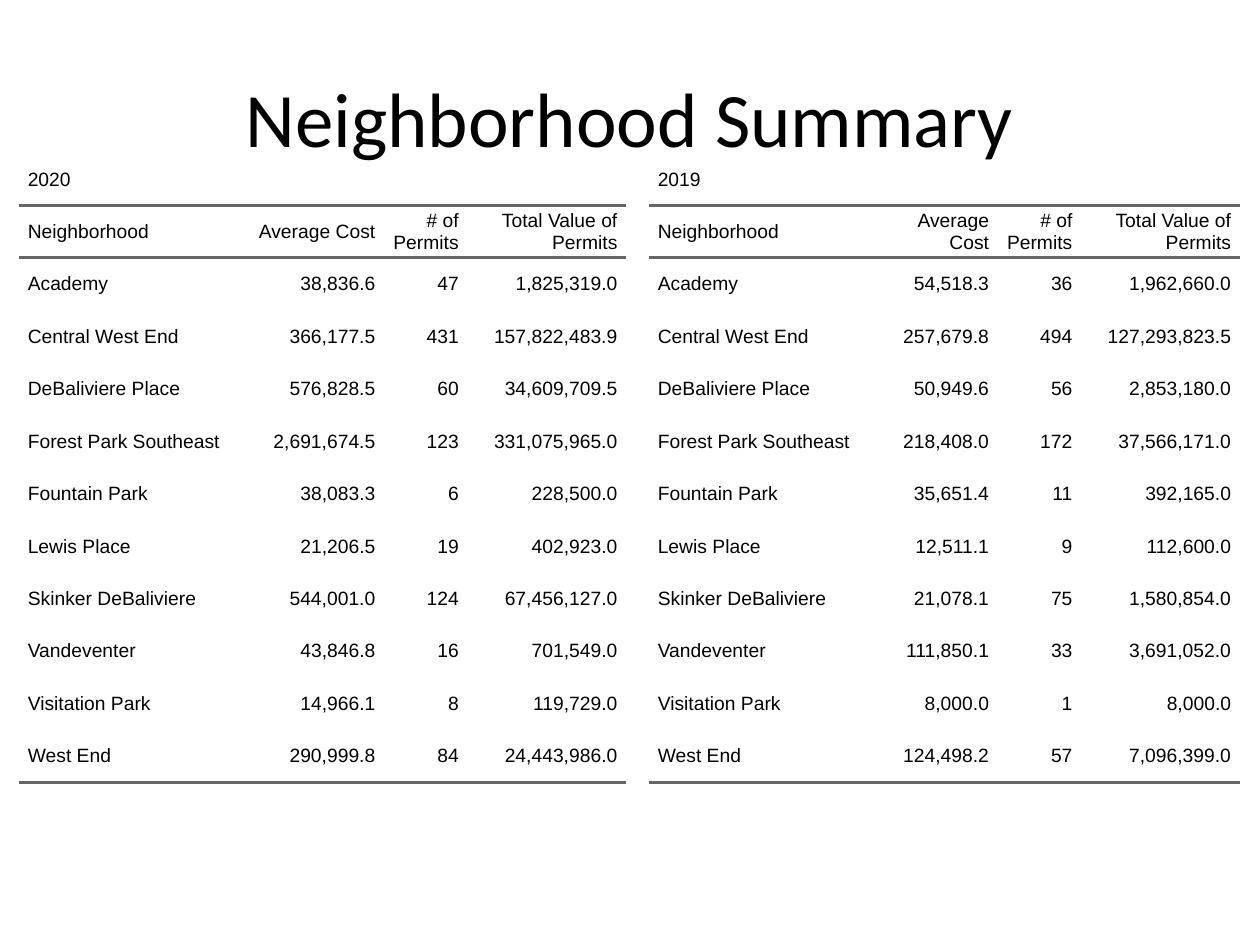
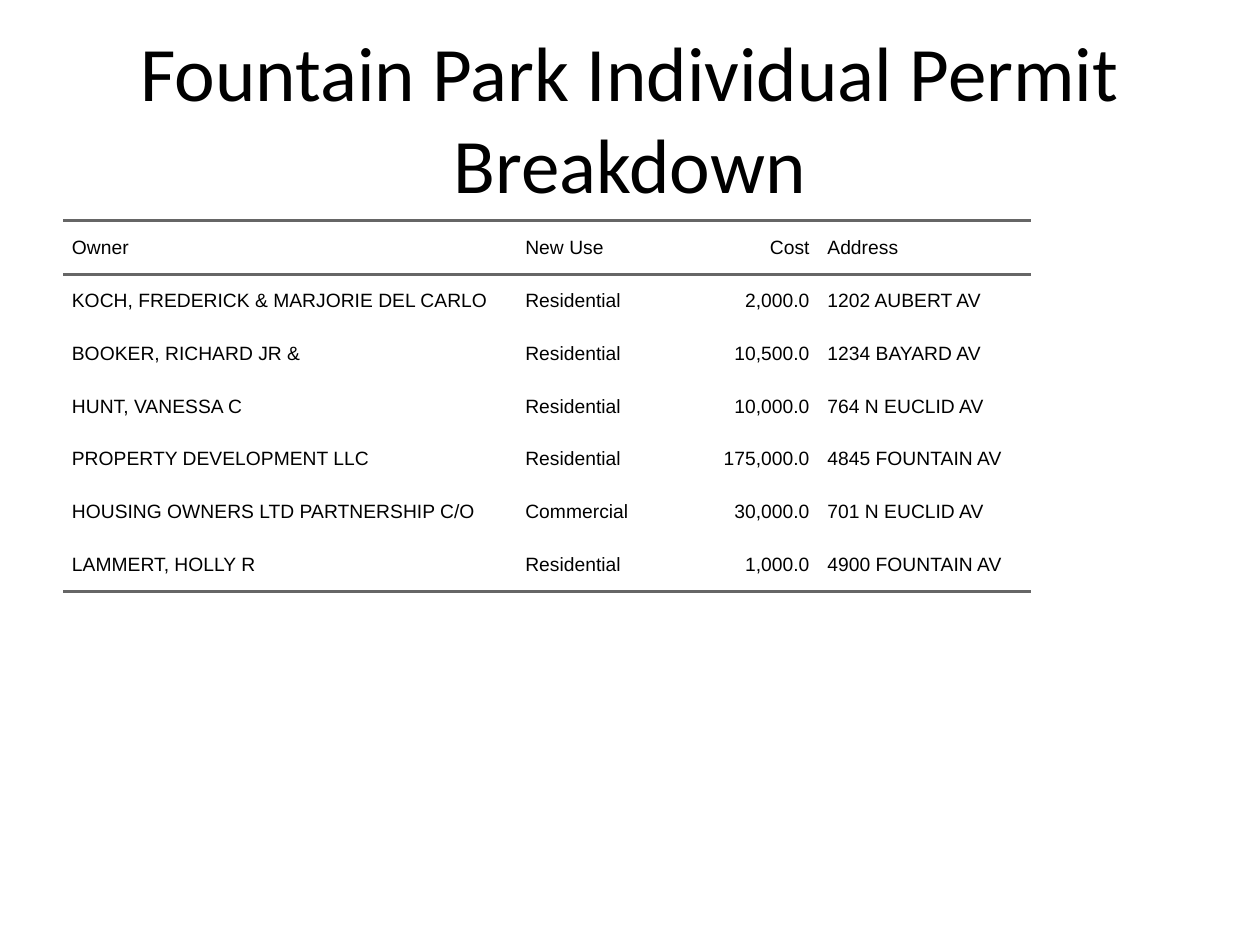
from lxml import etree
from pptx import Presentation
from pptx import util as u
from pptx.dml.color import RGBColor
from pptx.enum import text
from pptx.oxml.ns import qn

INK, RULE = "000000", "666666"
TITLE_FONT, TABLE_FONT = "Calibri", "Arial"
NO_STYLE = "{2D5ABB26-0587-4C30-8999-92F81FD0307C}"
CELL_INDENT = u.Cm(0.18)
LEFT, RIGHT, CENTER = text.PP_ALIGN.LEFT, text.PP_ALIGN.RIGHT, text.PP_ALIGN.CENTER

NEIGHBORHOOD_HEADS = ("Neighborhood", "Average Cost", "# of Permits", "Total Value of Permits")
NEIGHBORHOOD_ALIGN = (LEFT, RIGHT, RIGHT, RIGHT)
SUMMARY_2020 = [
    ("Academy", "38,836.6", "47", "1,825,319.0"),
    ("Central West End", "366,177.5", "431", "157,822,483.9"),
    ("DeBaliviere Place", "576,828.5", "60", "34,609,709.5"),
    ("Forest Park Southeast", "2,691,674.5", "123", "331,075,965.0"),
    ("Fountain Park", "38,083.3", "6", "228,500.0"),
    ("Lewis Place", "21,206.5", "19", "402,923.0"),
    ("Skinker DeBaliviere", "544,001.0", "124", "67,456,127.0"),
    ("Vandeventer", "43,846.8", "16", "701,549.0"),
    ("Visitation Park", "14,966.1", "8", "119,729.0"),
    ("West End", "290,999.8", "84", "24,443,986.0"),
]
SUMMARY_2019 = [
    ("Academy", "54,518.3", "36", "1,962,660.0"),
    ("Central West End", "257,679.8", "494", "127,293,823.5"),
    ("DeBaliviere Place", "50,949.6", "56", "2,853,180.0"),
    ("Forest Park Southeast", "218,408.0", "172", "37,566,171.0"),
    ("Fountain Park", "35,651.4", "11", "392,165.0"),
    ("Lewis Place", "12,511.1", "9", "112,600.0"),
    ("Skinker DeBaliviere", "21,078.1", "75", "1,580,854.0"),
    ("Vandeventer", "111,850.1", "33", "3,691,052.0"),
    ("Visitation Park", "8,000.0", "1", "8,000.0"),
    ("West End", "124,498.2", "57", "7,096,399.0"),
]
PERMIT_HEADS = ("Owner", "New Use", "Cost", "Address")
PERMIT_ALIGN = (LEFT, LEFT, RIGHT, LEFT)
PERMITS = [
    ("KOCH, FREDERICK & MARJORIE DEL CARLO", "Residential", "2,000.0", "1202 AUBERT AV"),
    ("BOOKER, RICHARD JR &", "Residential", "10,500.0", "1234 BAYARD AV"),
    ("HUNT, VANESSA C", "Residential", "10,000.0", "764 N EUCLID AV"),
    ("PROPERTY DEVELOPMENT LLC", "Residential", "175,000.0", "4845 FOUNTAIN AV"),
    ("HOUSING OWNERS LTD PARTNERSHIP C/O", "Commercial", "30,000.0", "701 N EUCLID AV"),
    ("LAMMERT, HOLLY R", "Residential", "1,000.0", "4900 FOUNTAIN AV"),
]

SLIDES = [
    ("Neighborhood Summary", [
        dict(year="2020", heads=NEIGHBORHOOD_HEADS, rows=SUMMARY_2020, aligns=NEIGHBORHOOD_ALIGN,
             left=0.38, top=3.1, widths=(4.6, 2.77, 1.68, 3.2), head_height=1.05, body_height=10.57),
        dict(year="2019", heads=NEIGHBORHOOD_HEADS, rows=SUMMARY_2019, aligns=NEIGHBORHOOD_ALIGN,
             left=13.08, top=3.1, widths=(4.6, 2.44, 1.68, 3.2), head_height=1.05, body_height=10.57),
    ]),
    ("Fountain Park Individual Permit Breakdown", [
        dict(heads=PERMIT_HEADS, rows=PERMITS, aligns=PERMIT_ALIGN,
             left=1.27, top=4.45, widths=(9.14, 2.79, 3.3, 4.29), head_height=1.08, body_height=6.39),
    ]),
]


def color(hex_value):
    return RGBColor.from_string(hex_value)


def write(frame, words, *, font, size, align=LEFT, indent=0):
    paragraph = frame.paragraphs[0]
    paragraph.alignment = align
    for side in ("marL", "marR"):
        paragraph._p.get_or_add_pPr().set(side, str(indent))
    paragraph._p.get_or_add_pPr().set("indent", "0")
    run = paragraph.add_run()
    run.text = words
    run.font.name, run.font.size = font, u.Pt(size)
    run.font.color.rgb = color(INK)


def rule_cell(cell, edges):
    properties = cell._tc.get_or_add_tcPr()
    for position, edge in enumerate(edges):
        line = etree.Element(qn("a:ln" + edge), w=str(u.Pt(2)))
        fill = etree.SubElement(line, qn("a:solidFill"))
        etree.SubElement(fill, qn("a:srgbClr"), val=RULE)
        properties.insert(position, line)


def add_permit_table(slide, heads, rows, aligns, left, top, widths, head_height, body_height, year=None):
    lines = [heads, *rows]
    if year:
        lines.insert(0, (year,))
    head_index = lines.index(heads)
    heights = [head_height] * (head_index + 1) + [body_height / len(rows)] * len(rows)
    table = slide.shapes.add_table(len(lines), len(widths), u.Cm(left), u.Cm(top),
                                   u.Cm(sum(widths)), u.Cm(sum(heights))).table
    table.first_row = table.horz_banding = False
    table._tbl.tblPr.find(qn("a:tableStyleId")).text = NO_STYLE
    for column, width in zip(table.columns, widths):
        column.width = u.Cm(width)
    for row, height in zip(table.rows, heights):
        row.height = u.Cm(height)
    if year:
        table.cell(0, 0).merge(table.cell(0, len(widths) - 1))
    edges = {head_index: "TB", len(lines) - 1: "B"}
    for r, line in enumerate(lines):
        for c, words in enumerate(line):
            cell = table.cell(r, c)
            cell.margin_left = cell.margin_right = cell.margin_top = cell.margin_bottom = 0
            cell.vertical_anchor = text.MSO_ANCHOR.MIDDLE
            cell.fill.background()
            rule_cell(cell, edges.get(r, ""))
            write(cell.text_frame, words, font=TABLE_FONT, size=11, align=aligns[c], indent=CELL_INDENT)


def add_slide(deck, heading, tables):
    slide = deck.slides.add_slide(deck.slide_layouts[5])
    title = slide.shapes.title
    title.left, title.top, title.width, title.height = map(u.Cm, (1.27, 0.76, 22.86, 3.18))
    title.text_frame.word_wrap = True
    title.text_frame.auto_size = text.MSO_AUTO_SIZE.NONE
    title.text_frame.vertical_anchor = text.MSO_ANCHOR.MIDDLE
    write(title.text_frame, heading, font=TITLE_FONT, size=44, align=CENTER)
    for table in tables:
        add_permit_table(slide, **table)


def main():
    deck = Presentation()
    deck.slide_width, deck.slide_height = u.Cm(25.4), u.Cm(19.05)
    for heading, tables in SLIDES:
        add_slide(deck, heading, tables)
    deck.save("out.pptx")


if __name__ == "__main__":
    main()
